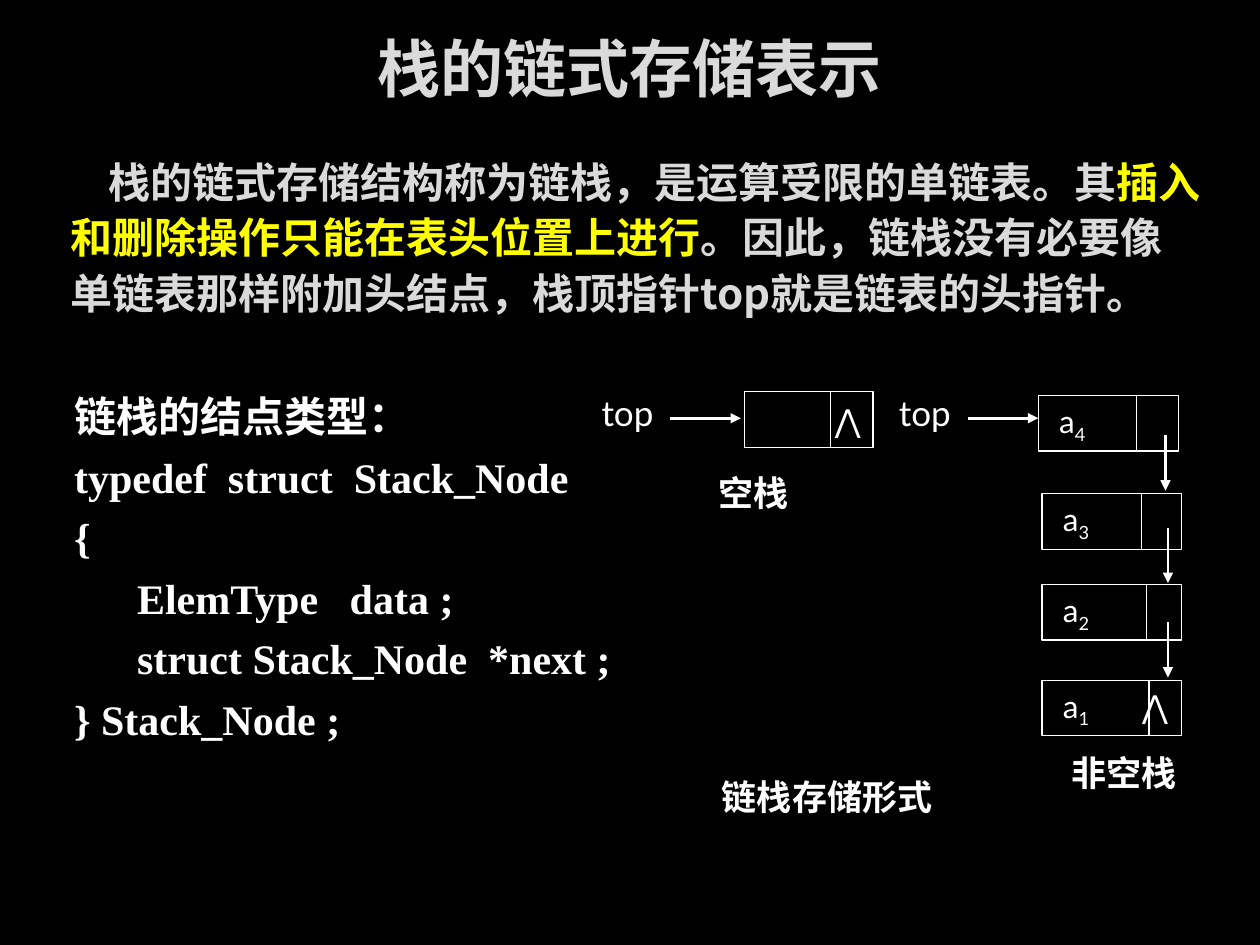
from dataclasses import dataclass

from lxml import etree
from pptx import Presentation
from pptx.dml.color import RGBColor
from pptx.enum import shapes, text
from pptx.oxml.ns import qn
from pptx.util import Pt


@dataclass(frozen=True)
class Theme:
    background: str = "000000"
    white: str = "FFFFFF"
    grey: str = "DADADA"
    yellow: str = "FFFF00"
    latin: str = "Lato"
    cjk: str = "Noto Sans CJK SC"
    code: str = "Times New Roman"
    title_size: int = 36
    body_size: int = 24
    label_size: int = 20
    node_size: int = 18
    thin: float = 0.75
    thick: float = 1.5


NODE_HEIGHT = 31.7
NODE_WIDTH = 80
NULL = "⋀"


class SlideBuilder:
    def __init__(self, slide, theme):
        self.slide = slide
        self.theme = theme
        fill = slide.background.fill
        fill.solid()
        fill.fore_color.rgb = RGBColor.from_string(theme.background)

    def style(self, paragraph, size, color=None, bold=False, name=None):
        font = paragraph.font
        font.size = Pt(size)
        font.bold = bold
        font.color.rgb = RGBColor.from_string(color or self.theme.white)
        font.name = name or self.theme.latin
        etree.SubElement(paragraph._p.pPr.find(qn("a:defRPr")), qn("a:ea"),
                         typeface=self.theme.cjk)

    def text_box(self, left, top, width, height, anchor=text.MSO_ANCHOR.MIDDLE):
        frame = self.slide.shapes.add_textbox(
            Pt(left), Pt(top), Pt(width), Pt(height)).text_frame
        frame.word_wrap = True
        frame.vertical_anchor = anchor
        return frame

    def label(self, content, left, top, width, height, size=None, **font):
        paragraph = self.text_box(left, top, width, height).paragraphs[0]
        paragraph.text = content
        paragraph.alignment = text.PP_ALIGN.CENTER
        self.style(paragraph, size or self.theme.label_size, **font)

    def body(self, parts, left, top, width, height):
        """Write one paragraph from (text, colour) parts."""
        frame = self.text_box(left, top, width, height, text.MSO_ANCHOR.TOP)
        paragraph = frame.paragraphs[0]
        paragraph.line_spacing = Pt(31.7)
        paragraph.space_before = Pt(3)
        self.style(paragraph, self.theme.body_size, self.theme.grey, True, self.theme.cjk)
        paragraph._p.pPr.set("indent", str(Pt(22)))
        for content, color in parts:
            run = paragraph.add_run()
            run.text = content
            run.font.color.rgb = RGBColor.from_string(color)

    def code(self, lines, left, top, width, height):
        """Write (text, indent) lines, one paragraph each."""
        frame = self.text_box(left, top, width, height, text.MSO_ANCHOR.TOP)
        for index, (content, indent) in enumerate(lines):
            paragraph = frame.add_paragraph() if index else frame.paragraphs[0]
            paragraph.text = content
            paragraph.space_before = Pt(5.8)
            self.style(paragraph, self.theme.body_size, bold=True, name=self.theme.code)
            paragraph._p.pPr.set("marL", str(Pt(indent)))

    def line(self, start, end, weight, arrow=False):
        connector = self.slide.shapes.add_connector(
            shapes.MSO_CONNECTOR.STRAIGHT, *(Pt(value) for value in (*start, *end)))
        connector.line.color.rgb = RGBColor.from_string(self.theme.white)
        connector.line.width = Pt(weight)
        if arrow:
            etree.SubElement(connector.line._get_or_add_ln(), qn("a:tailEnd"), type="triangle")
        etree.SubElement(connector._element.spPr, qn("a:effectLst"))

    def arrow(self, start, end):
        self.line(start, end, self.theme.thick, arrow=True)

    def node(self, left, top, width, divider, subscript="", is_last=False):
        """Draw a list node: data field, pointer field and the divider between."""
        shape = self.slide.shapes.add_shape(
            shapes.MSO_SHAPE.RECTANGLE, Pt(left), Pt(top), Pt(width), Pt(NODE_HEIGHT))
        shape.shadow.inherit = False
        shape.fill.background()
        shape.line.color.rgb = RGBColor.from_string(self.theme.white)
        shape.line.width = Pt(self.theme.thin)
        frame = shape.text_frame
        frame.margin_left = Pt(12)
        paragraph = frame.paragraphs[0]
        paragraph.alignment = text.PP_ALIGN.LEFT if subscript else text.PP_ALIGN.RIGHT
        self.style(paragraph, self.theme.node_size)
        if subscript:
            paragraph.add_run().text = "a"
            index = paragraph.add_run()
            index.text = subscript
            index.font._element.set("baseline", "-25000")
        if is_last:
            paragraph.add_run().text = "\t" + NULL if subscript else NULL
        if is_last and subscript:
            tabs = etree.Element(qn("a:tabLst"))
            etree.SubElement(tabs, qn("a:tab"), pos=str(Pt(60)), algn="r")
            paragraph._p.pPr.find(qn("a:defRPr")).addprevious(tabs)
        self.line((divider, top), (divider, top + NODE_HEIGHT), self.theme.thin)


def main():
    presentation = Presentation()
    presentation.slide_width, presentation.slide_height = Pt(720), Pt(540)
    slide = presentation.slides.add_slide(presentation.slide_layouts[6])
    theme = Theme()
    builder = SlideBuilder(slide, theme)

    builder.label("栈的链式存储表示", 0, 11.5, 720, 54,
                  size=theme.title_size, color=theme.grey, bold=True)
    builder.body([
        ("栈的链式存储结构称为链栈，是运算受限的单链表。其", theme.grey),
        ("插入和删除操作只能在表头位置上进行", theme.yellow),
        ("。因此，链栈没有必要像单链表那样附加头结点，栈顶指针top就是链表的头指针。", theme.grey),
    ], 33.1, 82.8, 661.7, 113)
    builder.code([
        ("链栈的结点类型：", 0),
        ("typedef  struct  Stack_Node", 0),
        ("{", 0),
        ("ElemType   data ;", 36),
        ("struct Stack_Node  *next ;", 36),
        ("} Stack_Node ;", 0),
    ], 35.3, 219.6, 449.3, 241.9)

    for left in (333.4, 503.3):
        builder.label("top", left, 219.6, 50.4, 31.7)
        builder.arrow((left + 49.6, 239), (left + 90, 239))

    builder.node(425.5, 223.9, 73.4, 474.5, is_last=True)
    stack = [  # subscript, left, top, divider
        ("4", 593.3, 226.1, 649.4),
        ("3", 595.4, 282.2, 652.3),
        ("2", 595.4, 334.1, 655.2),
        ("1", 595.4, 388.8, 656.6),
    ]
    for subscript, left, top, divider in stack:
        builder.node(left, top, NODE_WIDTH, divider, subscript, subscript == "1")
    for x, top in ((666, 248.8), (667.4, 301.7), (667.4, 355.7)):
        builder.arrow((x, top), (x, top + 31.5))

    builder.label("空栈", 397.4, 265.7, 67, 31.7, bold=True)
    builder.label("非空栈", 600.5, 425.5, 83.5, 31.7, bold=True)
    builder.label("链栈存储形式", 347.8, 437.8, 249.8, 34.6, bold=True, name=theme.cjk)
    presentation.save("out.pptx")


if __name__ == "__main__":
    main()
